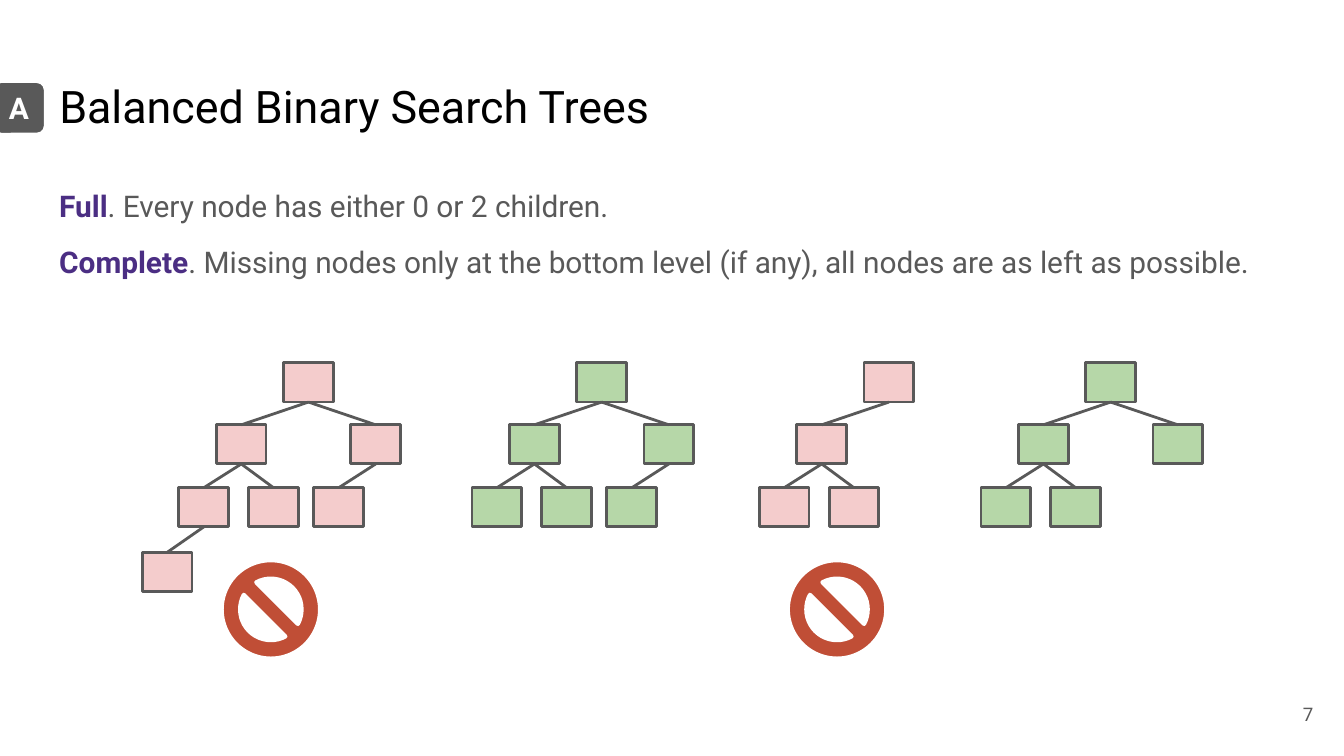
from dataclasses import dataclass

import pptx
import pptx.dml.color
import pptx.enum.shapes
import pptx.enum.text
import pptx.oxml
import pptx.oxml.ns
import pptx.util
from pptx.util import Cm

SHAPE = pptx.enum.shapes.MSO_SHAPE
ALIGN = pptx.enum.text.PP_ALIGN
ANCHOR = pptx.enum.text.MSO_ANCHOR


@dataclass(frozen=True)
class Theme:
    font: str = "Roboto"
    black: str = "000000"
    white: str = "FFFFFF"
    grey: str = "595959"
    purple: str = "4B2E83"
    pink: str = "F4CCCC"
    green: str = "B6D7A8"
    red: str = "C04E36"
    title_size: float = 24
    body_size: float = 16
    number_size: float = 10
    edge_width: float = 1.5
    outline_width: float = 2.25


@dataclass(frozen=True)
class Box:
    left: float
    top: float
    width: float
    height: float


@dataclass(frozen=True)
class Slot:
    parent: str
    level: int
    offset: float


@dataclass(frozen=True)
class Tree:
    root_left: float
    fill: str
    nodes: tuple[str, ...]


@dataclass(frozen=True)
class Definition:
    term: str
    meaning: str
    space: float


THEME = Theme()
NODE_WIDTH, NODE_HEIGHT = 0.94, 0.74
LEVEL_TOPS = (6.86, 8.03, 9.22, 10.44)

SLOTS = {
    "root": Slot("", 0, 0),
    "left": Slot("root", 1, -1.27),
    "right": Slot("root", 1, 1.27),
    "left left": Slot("left", 2, -1.98),
    "left right": Slot("left", 2, -0.66),
    "right left": Slot("right", 2, 0.57),
    "left left left": Slot("left left", 3, -2.67),
}
SMALL = ("root", "left", "left left", "left right")
WIDE = SMALL + ("right",)
FILLED = WIDE + ("right left",)
TREES = (
    Tree(5.36, THEME.pink, FILLED + ("left left left",)),
    Tree(10.9, THEME.green, FILLED),
    Tree(16.33, THEME.pink, SMALL),
    Tree(20.52, THEME.green, WIDE),
)
DEFINITIONS = (
    Definition("Full", ". Every node has either 0 or 2 children.", 0),
    Definition(
        "Complete",
        ". Missing nodes only at the bottom level (if any), all nodes are as left as possible.",
        8,
    ),
)
BANS = (Box(4.19, 10.59, 1.86, 1.86), Box(14.89, 10.59, 1.86, 1.86))


def rgb(color: str) -> pptx.dml.color.RGBColor:
    return pptx.dml.color.RGBColor.from_string(color)


def apply(target, values: dict) -> None:
    for name, value in values.items():
        setattr(target, name, value)


def lengths(box: Box) -> list:
    return [Cm(value) for value in (box.left, box.top, box.width, box.height)]


def add_run(paragraph, text: str, size: float, color: str, bold: bool = False) -> None:
    run = paragraph.add_run()
    run.text = text
    apply(run.font, {"name": THEME.font, "size": pptx.util.Pt(size), "bold": bold})
    run.font.color.rgb = rgb(color)


def prepare_frame(shape, anchor=ANCHOR.TOP, align=ALIGN.LEFT):
    margins = {f"margin_{side}": Cm(0.25) for side in ("left", "top", "right", "bottom")}
    apply(shape.text_frame, {
        "word_wrap": True,
        "auto_size": pptx.enum.text.MSO_AUTO_SIZE.NONE,
        "vertical_anchor": anchor,
        **margins,
    })
    paragraph = shape.text_frame.paragraphs[0]
    paragraph.alignment = align
    return paragraph


def set_line(shape, color: str, width: float) -> None:
    shape.line.color.rgb = rgb(color)
    shape.line.width = pptx.util.Pt(width)


def add_filled(shapes, kind, box: Box, fill: str, line: str, width: float):
    shape = shapes.add_shape(kind, *lengths(box))
    shape.shadow.inherit = False
    shape.fill.solid()
    shape.fill.fore_color.rgb = rgb(fill)
    set_line(shape, line, width)
    return shape


def add_edge(shapes, parent, child) -> None:
    edge = shapes.add_connector(pptx.enum.shapes.MSO_CONNECTOR.STRAIGHT, 0, 0, 0, 0)
    edge.begin_connect(parent, 2)
    edge.end_connect(child, 0)
    set_line(edge, THEME.grey, THEME.edge_width)
    properties = edge._element.spPr
    properties.append(pptx.oxml.parse_xml(f"<a:effectLst {pptx.oxml.ns.nsdecls('a')}/>"))


def add_tree(slide, tree: Tree) -> None:
    shapes = slide.shapes.add_group_shape().shapes
    nodes = {}
    for name in tree.nodes:
        slot = SLOTS[name]
        box = Box(tree.root_left + slot.offset, LEVEL_TOPS[slot.level], NODE_WIDTH, NODE_HEIGHT)
        nodes[name] = add_filled(
            shapes, SHAPE.RECTANGLE, box, tree.fill, THEME.grey, THEME.edge_width
        )
    for name in tree.nodes[1:]:
        add_edge(shapes, nodes[SLOTS[name].parent], nodes[name])


def add_title(slide) -> None:
    title = slide.shapes.title
    places = lengths(Box(0.87, 1.24, 23.67, 1.6))
    apply(title, dict(zip(("left", "top", "width", "height"), places)))
    add_run(prepare_frame(title), "Balanced Binary Search Trees", THEME.title_size, THEME.black)


def add_definitions(slide) -> None:
    body = slide.shapes.add_textbox(*lengths(Box(0.87, 3.2, 23.67, 2.29)))
    paragraph = prepare_frame(body)
    for index, definition in enumerate(DEFINITIONS):
        if index:
            paragraph = body.text_frame.add_paragraph()
        space = pptx.util.Pt(definition.space)
        apply(paragraph, {"line_spacing": 1.15, "space_before": space, "space_after": space})
        add_run(paragraph, definition.term, THEME.body_size, THEME.purple, True)
        add_run(paragraph, definition.meaning, THEME.body_size, THEME.grey)


def main() -> None:
    deck = pptx.Presentation()
    apply(deck, {"slide_width": Cm(25.4), "slide_height": Cm(14.29)})
    slide = deck.slides.add_slide(deck.slide_layouts[5])
    add_title(slide)
    add_definitions(slide)

    number = slide.shapes.add_textbox(*lengths(Box(23.55, 12.95, 1.52, 1.09)))
    add_run(prepare_frame(number, ANCHOR.MIDDLE, ALIGN.RIGHT), "7", THEME.number_size, THEME.grey)

    badge = add_filled(slide.shapes, SHAPE.ROUNDED_RECTANGLE, Box(-0.15, 1.53, 1.02, 1.02),
                       THEME.grey, THEME.white, THEME.outline_width)
    add_run(prepare_frame(badge, ANCHOR.MIDDLE, ALIGN.CENTER), "A",
            THEME.body_size, THEME.white, True)

    for tree in TREES:
        add_tree(slide, tree)
    for ban in BANS:
        add_filled(slide.shapes, SHAPE.NO_SYMBOL, ban, THEME.red, THEME.white, THEME.outline_width)
    deck.save("out.pptx")


if __name__ == "__main__":
    main()
